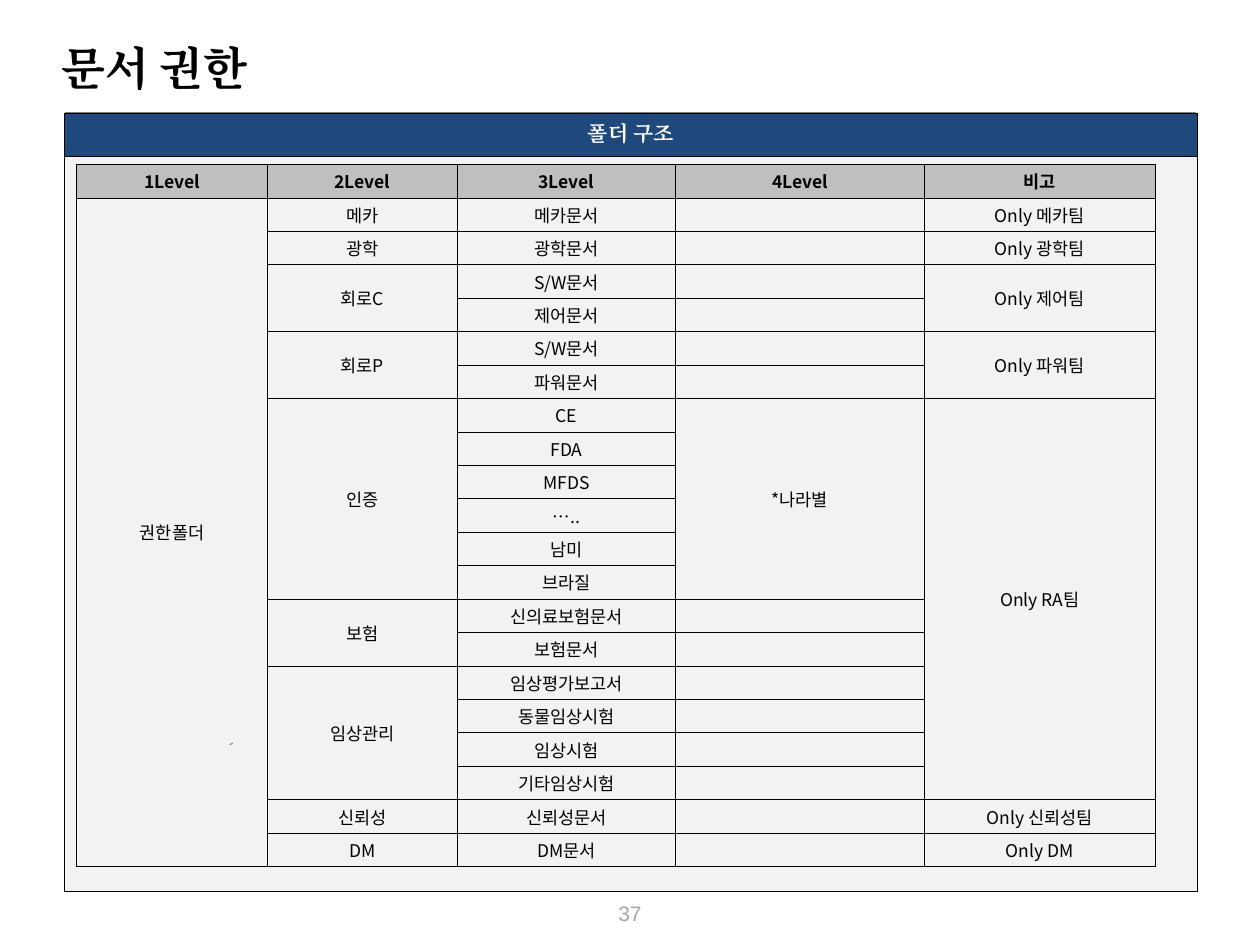
from lxml import etree
from pptx import Presentation
from pptx.dml.color import RGBColor
from pptx.enum.shapes import MSO_CONNECTOR
from pptx.enum.text import MSO_ANCHOR, PP_ALIGN
from pptx.oxml.ns import qn
from pptx.util import Pt

LEFT, CENTER = PP_ALIGN.LEFT, PP_ALIGN.CENTER
TOP, MIDDLE = MSO_ANCHOR.TOP, MSO_ANCHOR.MIDDLE
STRAIGHT = MSO_CONNECTOR.STRAIGHT

COLORS = {
    "black": "000000",
    "white": "FFFFFF",
    "navy": "1F497D",
    "panel": "F2F2F2",
    "header": "BFBFBF",
    "rule": "7F7F7F",
    "mark": "4F81BD",
    "number": "A6A6A6",
}
SERIF, SANS, NUMBER = "Cambria", "Noto Sans CJK KR", "Arial"

ROW_COUNT = 21
COLUMN_WIDTHS = [109, 108.6, 124.6, 142.2, 132]
# Each column lists (text, number of rows it covers).
COLUMNS = [
    [("1Level", 1), ("권한폴더", 20)],
    [("2Level", 1), ("메카", 1), ("광학", 1), ("회로C", 2), ("회로P", 2),
     ("인증", 6), ("보험", 2), ("임상관리", 4), ("신뢰성", 1), ("DM", 1)],
    [(text, 1) for text in (
        "3Level", "메카문서", "광학문서", "S/W문서", "제어문서", "S/W문서",
        "파워문서", "CE", "FDA", "MFDS", "…..", "남미", "브라질",
        "신의료보험문서", "보험문서", "임상평가보고서", "동물임상시험",
        "임상시험", "기타임상시험", "신뢰성문서", "DM문서")],
    [("4Level", 1)] + [("", 1)] * 6 + [("*나라별", 6)] + [("", 1)] * 8,
    [("비고", 1), ("Only 메카팀", 1), ("Only 광학팀", 1), ("Only 제어팀", 2),
     ("Only 파워팀", 2), ("Only RA팀", 12), ("Only 신뢰성팀", 1),
     ("Only DM", 1)],
]


def rgb(color):
    return RGBColor.from_string(COLORS[color])


class SlideBuilder:
    def __init__(self, slide):
        self.s = slide

    def paragraph(self, p, text, size, font, color, bold=False, align=CENTER):
        p.alignment = align
        p.font.size = Pt(size)
        p.font.bold = bold
        p.font.color.rgb = rgb(color)
        p.font.name = font
        east_asian = etree.SubElement(p.font._element, qn("a:ea"))
        east_asian.set("typeface", font)
        if text:
            p.add_run().text = text
        else:
            # An empty cell needs its own size to keep the row low.
            end = etree.SubElement(p._p, qn("a:endParaRPr"))
            end.set("sz", str(size * 100))

    def text(self, left, top, width, height, text, anchor=MIDDLE, **style):
        box = self.s.shapes.add_textbox(Pt(left), Pt(top), Pt(width), Pt(height))
        tf = box.text_frame
        tf.word_wrap = True
        tf.vertical_anchor = anchor
        self.paragraph(tf.paragraphs[0], text, **style)

    def line(self, x1, y1, x2, y2, color):
        line = self.s.shapes.add_connector(STRAIGHT, Pt(x1), Pt(y1), Pt(x2), Pt(y2))
        line.line.color.rgb = rgb(color)
        line.line.width = Pt(0.5)
        etree.SubElement(line._element.spPr, qn("a:effectLst"))

    def border(self, cell):
        """Draw thin black borders; call before filling the cell."""
        tc_pr = cell._tc.get_or_add_tcPr()
        for side in ("lnL", "lnR", "lnT", "lnB"):
            ln = etree.SubElement(tc_pr, qn(f"a:{side}"), w=str(Pt(0.5)))
            fill = etree.SubElement(ln, qn("a:solidFill"))
            etree.SubElement(fill, qn("a:srgbClr"), val=COLORS["black"])

    def table(self, left, top, widths, heights, columns, header, body,
              header_fill, body_fill=None):
        """Build a table from columns of (text, row span) pairs."""
        frame = self.s.shapes.add_table(
            len(heights), len(widths), Pt(left), Pt(top),
            Pt(sum(widths)), Pt(sum(heights)))
        table = frame.table
        table.horz_banding = False
        for column, width in zip(table.columns, widths):
            column.width = Pt(width)
        for row, height in zip(table.rows, heights):
            row.height = Pt(height)
        for c, entries in enumerate(columns):
            r = 0
            for text, span in entries:
                fill = body_fill if r else header_fill
                for k in range(r, r + span):
                    cell = table.cell(k, c)
                    self.border(cell)
                    if fill:
                        cell.fill.solid()
                        cell.fill.fore_color.rgb = rgb(fill)
                    else:
                        cell.fill.background()
                    cell.vertical_anchor = MIDDLE
                    cell.margin_left = cell.margin_right = 0
                    cell.margin_top = cell.margin_bottom = 0
                    self.paragraph(cell.text_frame.paragraphs[0],
                                   text if k == r else "",
                                   **(body if r else header))
                if span > 1:
                    table.cell(r, c).merge(table.cell(r + span - 1, c))
                r += span


def main():
    prs = Presentation()
    prs.slide_width, prs.slide_height = Pt(720), Pt(540)
    slide = SlideBuilder(prs.slides.add_slide(prs.slide_layouts[6]))

    body = dict(size=10, font=SANS, color="black")
    slide.text(334, 507, 52, 29, "37", size=12, font=NUMBER, color="number")
    slide.line(37, 64, 683.5, 64, "rule")
    slide.table(37, 64.8, [647.2], [24.6, 419.8],
                [[("폴더 구조", 1), ("", 1)]],
                header=dict(size=12, font=SERIF, color="white", bold=True),
                body=body, header_fill="navy", body_fill="panel")
    slide.text(28, 19.5, 522, 44, "문서 권한", anchor=TOP, size=26,
               font=SERIF, color="black", bold=True, align=LEFT)
    slide.table(43.8, 94, COLUMN_WIDTHS, [19.13] * ROW_COUNT, COLUMNS,
                header=dict(body, bold=True), body=body, header_fill="header")
    slide.line(131.2, 425.5, 133, 424.8, "mark")

    prs.save("out.pptx")


if __name__ == "__main__":
    main()
